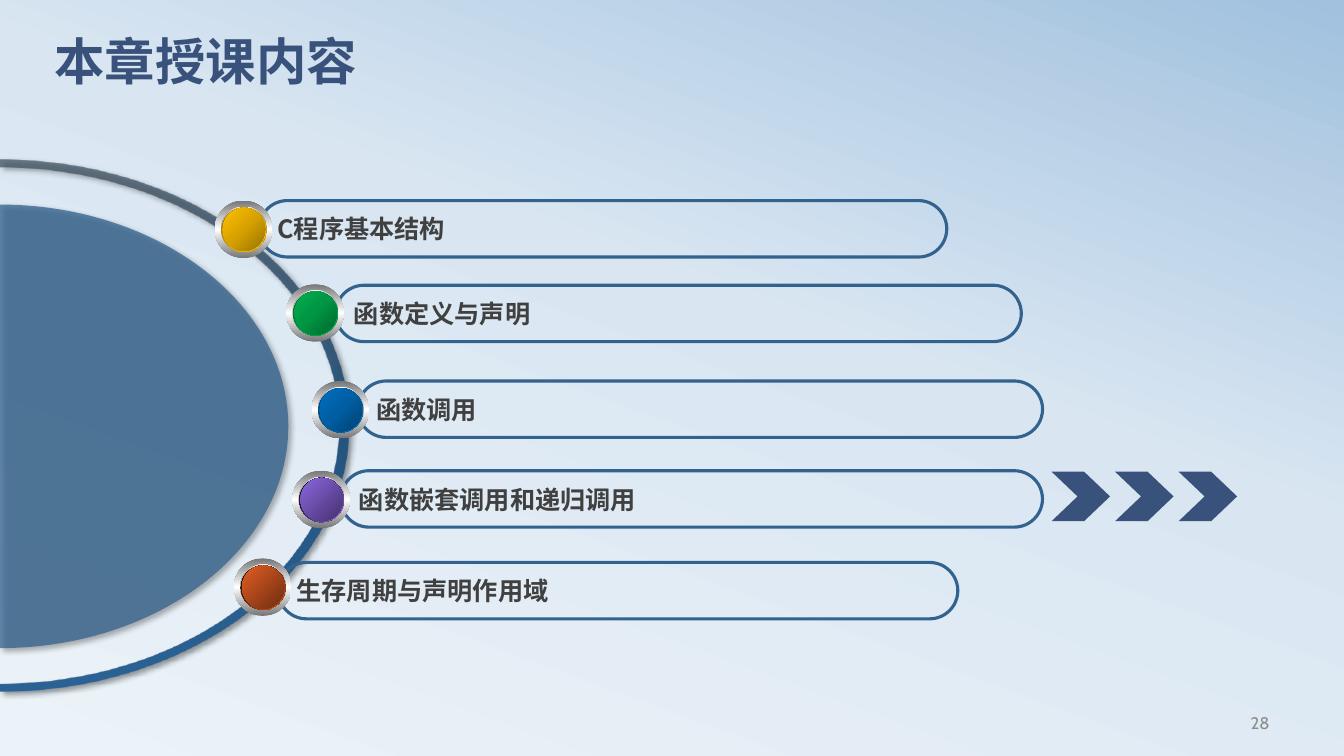
from dataclasses import dataclass

from lxml import etree
from pptx import Presentation
from pptx.dml.color import RGBColor
from pptx.enum.shapes import MSO_SHAPE
from pptx.enum.text import MSO_ANCHOR, PP_ALIGN
from pptx.oxml.ns import qn
from pptx.util import Inches, Pt

ROUNDED, OVAL, CHEVRON = MSO_SHAPE.ROUNDED_RECTANGLE, MSO_SHAPE.OVAL, MSO_SHAPE.CHEVRON
TOP, MIDDLE = MSO_ANCHOR.TOP, MSO_ANCHOR.MIDDLE
LEFT, RIGHT = PP_ALIGN.LEFT, PP_ALIGN.RIGHT


@dataclass(frozen=True)
class Theme:
    navy: str = "39527B"
    steel: str = "32628E"
    ink: str = "404040"
    grey: str = "8C8C8C"
    latin: str = "Cabin"
    chinese: str = "Noto Sans CJK SC"
    title_size: int = 36
    topic_size: int = 18
    number_size: int = 12
    background: tuple = ((0, "ECF3F8"), (58, "D9E6F2"), (100, "A1C1DE"))
    ring: tuple = ((0, "445462", 75), (50, "24537D"), (100, "2B6295"))
    bezel: tuple = ((0, "767676"), (50, "FFFFFF"), (100, "767676"))
    inset: tuple = ((0, "A2A2A2"), (50, "FFFFFF"), (100, "A2A2A2"))
    gold: tuple = ((0, "977200"), (50, "D7A200"), (100, "FFC000"))
    green: tuple = ((0, "00682F"), (50, "009443"), (100, "00B050"))
    blue: tuple = ((0, "004272"), (50, "005EA2"), (100, "0070C0"))
    purple: tuple = ((0, "8D67E1"), (100, "45326D"))
    orange: tuple = ((0, "E35E23"), (100, "6E2E11"))


THEME = Theme()
BAR_HEIGHT = 0.56
BUTTON_SIZE = 0.57
ARC_POINTS = 7

# Topic, bar left, top and width, button left and top, button colours
TOPICS = (
    ("C程序基本结构", (2.57, 1.99, 6.82), (2.13, 1.99), THEME.gold),
    ("函数定义与声明", (3.33, 2.83, 6.8), (2.84, 2.82), THEME.green),
    ("函数调用", (3.55, 3.78, 6.79), (3.09, 3.78), THEME.blue),
    ("函数嵌套调用和递归调用", (3.38, 4.67, 6.96), (2.9, 4.67), THEME.purple),
    ("生存周期与声明作用域", (2.76, 5.58, 6.74), (2.32, 5.54), THEME.orange),
)


def add_node(parent, tag, **attributes):
    values = {name: str(value) for name, value in attributes.items()}
    return etree.SubElement(parent, qn(tag), values)


def paint_gradient(owner, fill, stops, angle=None):
    """Linear at a clockwise angle, or round from the lower right corner."""
    fill.gradient()
    gradient = next(owner._element.iter(qn("a:gradFill")))
    gradient.clear()
    gradient.set("rotWithShape", "1")
    stop_list = add_node(gradient, "a:gsLst")
    for position, color, *opacity in stops:
        stop = add_node(stop_list, "a:gs", pos=position * 1000)
        tint = add_node(stop, "a:srgbClr", val=color)
        if opacity:
            add_node(tint, "a:alpha", val=opacity[0] * 1000)
    if angle is None:
        circle = add_node(gradient, "a:path", path="circle")
        add_node(circle, "a:fillToRect", l=100000, t=100000)
    else:
        add_node(gradient, "a:lin", ang=angle * 60000, scaled=0)


def cast_shadow(shape):
    shape.shadow.inherit = False
    effects = shape._element.spPr.find(qn("a:effectLst"))
    shadow = add_node(effects, "a:outerShdw", blurRad=Pt(4), dist=Pt(3),
                      dir=45 * 60000, algn="tl", rotWithShape=0)
    add_node(add_node(shadow, "a:srgbClr", val="000000"), "a:alpha", val=40000)


def write_text(frame, text, *, size, color, font, bold=False, align=LEFT,
               anchor=MIDDLE, wrap=True, spacing=None):
    frame.word_wrap = wrap
    frame.vertical_anchor = anchor
    para = frame.paragraphs[0]
    para.alignment = align
    if spacing:
        para.line_spacing = spacing
    span = para.add_run()
    span.text = text
    span.font.size = Pt(size)
    span.font.bold = bold
    span.font.name = font
    span.font.color.rgb = RGBColor.from_string(color)
    add_node(span.font._element, "a:ea", typeface=THEME.chinese)


def add_plain_shape(page, kind, left, top, width, height):
    shape = page.shapes.add_shape(kind, Inches(left), Inches(top), Inches(width), Inches(height))
    shape.shadow.inherit = False
    shape.line.fill.background()
    return shape


def half_ellipse(center_y, radius_x, radius_y):
    """A start point, then two quarter curves of three Bezier points each."""
    pull = 0.55
    unit_points = ((0, -1), (pull, -1), (1, -pull), (1, 0), (1, pull), (pull, 1), (0, 1))
    return [(Inches(radius_x * x), Inches(center_y + radius_y * y)) for x, y in unit_points]


def add_outline(page, points):
    builder = page.shapes.build_freeform(*points[0], scale=1.0)
    builder.add_line_segments(points[1:], close=True)
    shape = builder.convert_to_shape()
    # Join every three points after the start of an arc into one curve
    outline = next(shape._element.iter(qn("a:path")))
    nodes = list(outline)[:len(points)]
    for arc_start in range(0, len(points), ARC_POINTS):
        for first in (arc_start + 1, arc_start + 4):
            curve = add_node(outline, "a:cubicBezTo")
            nodes[first].addprevious(curve)
            for node in nodes[first:first + 3]:
                curve.append(node[0])
                outline.remove(node)
    shape.line.fill.background()
    cast_shadow(shape)
    return shape


def add_dial(page, center_y):
    # Ring
    outer = half_ellipse(center_y, 3.46, 2.64)
    inner = half_ellipse(center_y, 3.36, 2.56)
    ring = add_outline(page, outer + inner[::-1])
    paint_gradient(ring, ring.fill, THEME.ring, 90)
    # Disc
    disc = add_outline(page, half_ellipse(center_y + 0.01, 2.86, 2.2))
    disc.fill.solid()
    disc.fill.fore_color.rgb = RGBColor.from_string(THEME.steel)
    tint = next(disc._element.spPr.iter(qn("a:srgbClr")))
    add_node(tint, "a:alpha", val=75000)


def add_bar(page, text, left, top, width):
    bar = add_plain_shape(page, ROUNDED, left, top, width, BAR_HEIGHT)
    bar.adjustments[0] = 0.5
    bar.fill.background()
    bar.line.color.rgb = RGBColor.from_string(THEME.steel)
    bar.line.width = Pt(2.25)
    write_text(bar.text_frame, text, size=THEME.topic_size, color=THEME.ink,
               font=THEME.chinese, bold=True, wrap=False)


def add_button(page, left, top, colors):
    # Two-colour buttons have a dark rim and a straight gradient on the face
    two_colors = len(colors) == 2
    rim = ((0, "000000"), (100, colors[0][1])) if two_colors else colors
    layers = (
        (0, BUTTON_SIZE, BUTTON_SIZE, THEME.bezel, 90),
        (0.06, 0.46, 0.45, THEME.inset, 0),
        (0.07, 0.44, 0.44, rim, 45),
        (0.08, 0.42, 0.43, colors, 45 if two_colors else None),
    )
    for offset, width, height, stops, angle in layers:
        layer = add_plain_shape(page, OVAL, left + offset, top + min(offset, 0.07), width, height)
        paint_gradient(layer, layer.fill, stops, angle)


def add_chevrons(page, left, top, count=3, pitch=0.63):
    for index in range(count):
        chevron = add_plain_shape(page, CHEVRON, left + index * pitch, top, 0.58, 0.49)
        chevron.adjustments[0] = 0.525
        chevron.fill.solid()
        chevron.fill.fore_color.rgb = RGBColor.from_string(THEME.navy)


def add_title(page, text, left, top, width, height):
    title = page.shapes.title
    title.left, title.top = Inches(left), Inches(top)
    title.width, title.height = Inches(width), Inches(height)
    write_text(title.text_frame, text, size=THEME.title_size, color=THEME.navy,
               font=THEME.latin, bold=True, anchor=TOP, spacing=0.8)


def add_page_number(page, text, left, top, width, height):
    box = page.shapes.add_textbox(Inches(left), Inches(top), Inches(width), Inches(height))
    write_text(box.text_frame, text, size=THEME.number_size, color=THEME.grey,
               font=THEME.latin, align=RIGHT)


def build_agenda(deck):
    page = deck.slides.add_slide(deck.slide_layouts[5])
    paint_gradient(page, page.background.fill, THEME.background, 290)
    add_page_number(page, "28", 9.58, 6.97, 3.11, 0.4)
    add_title(page, "本章授课内容", 0.44, 0.36, 12, 0.94)
    add_dial(page, 4.22)
    for text, bar, _, _ in TOPICS:
        add_bar(page, text, *bar)
    for _, _, button, colors in TOPICS:
        add_button(page, *button, colors)
    # Chevrons point out the current topic
    add_chevrons(page, 10.43, 4.68)


def main():
    deck = Presentation()
    deck.slide_width, deck.slide_height = Inches(13.33), Inches(7.5)
    build_agenda(deck)
    deck.save("out.pptx")


if __name__ == "__main__":
    main()
